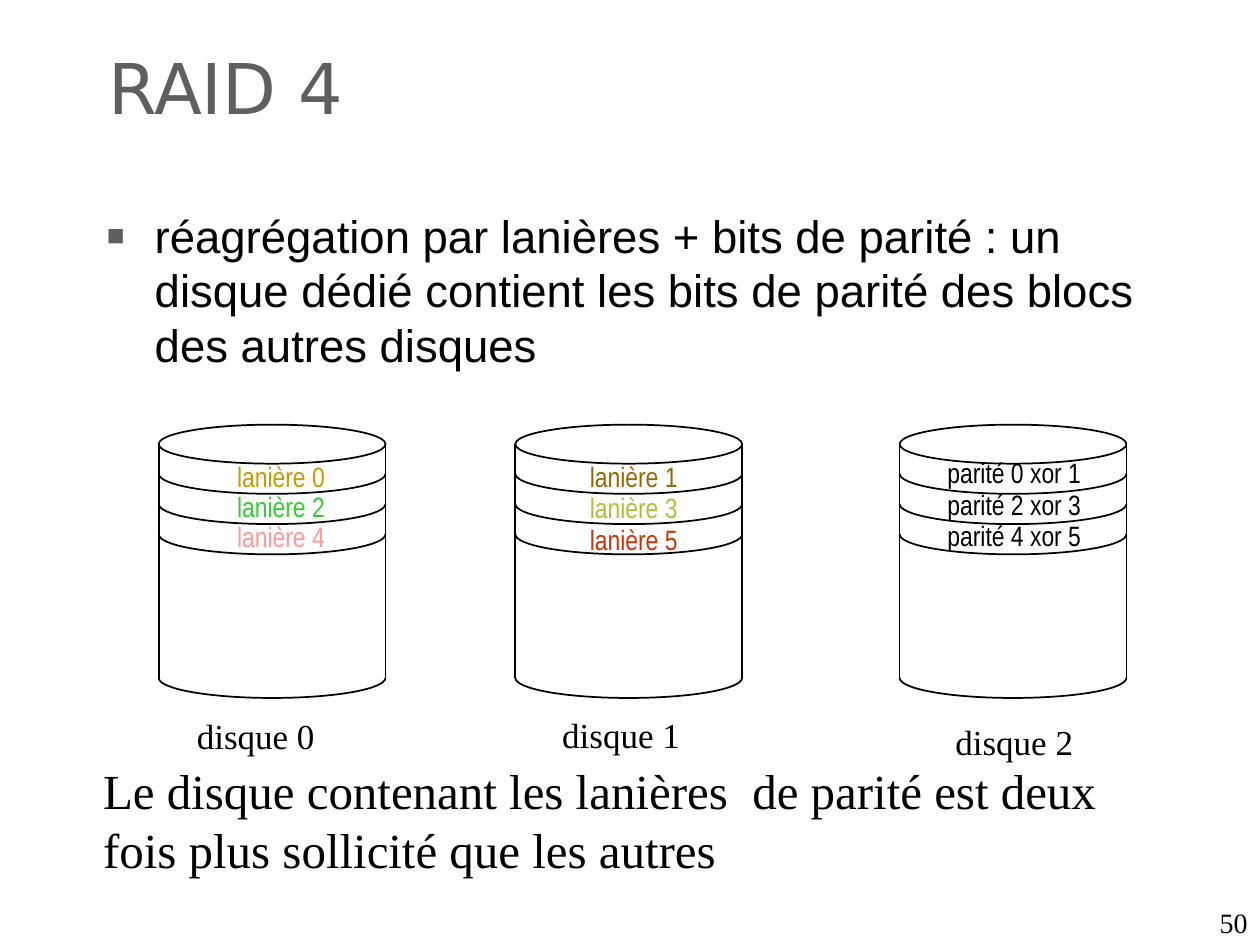
from lxml import etree
from pptx import Presentation
from pptx.dml.color import RGBColor
from pptx.enum.shapes import MSO_CONNECTOR, MSO_SHAPE
from pptx.enum.text import MSO_ANCHOR, MSO_AUTO_SIZE, PP_ALIGN
from pptx.oxml.ns import qn
from pptx.util import Inches, Pt

BLACK = RGBColor(0x00, 0x00, 0x00)
GRAY = RGBColor(0x5F, 0x5F, 0x5F)
GOLD = RGBColor(0xCC, 0x99, 0x00)
GREEN = RGBColor(0x33, 0xCC, 0x33)
PINK = RGBColor(0xFF, 0x99, 0x99)
BROWN = RGBColor(0x99, 0x66, 0x00)
OLIVE = RGBColor(0xAF, 0xBF, 0x39)
RED = RGBColor(0xCC, 0x33, 0x00)

LEFT, CENTER, RIGHT = PP_ALIGN.LEFT, PP_ALIGN.CENTER, PP_ALIGN.RIGHT
TOP, MIDDLE, BOTTOM = MSO_ANCHOR.TOP, MSO_ANCHOR.MIDDLE, MSO_ANCHOR.BOTTOM
NO_AUTOFIT = MSO_AUTO_SIZE.NONE
OVAL = MSO_SHAPE.OVAL
STRAIGHT = MSO_CONNECTOR.STRAIGHT

SERIF = "Times New Roman"
DISK_WIDTH, DISK_HEIGHT = 1.8, 2.17
LID_HEIGHT, ARC_DEPTH = 0.31, 0.16
STRIPE_PITCH = 0.24
HALF_ELLIPSE = [(0, 0), (0, 0.55), (0.22, 1), (0.5, 1), (0.78, 1), (1, 0.55), (1, 0)]

DISKS = [
    ("disque 0", 1.26, (1.1, 5.62), (1.55, 3.63), 0.24,
     [("lanière 0", GOLD), ("lanière 2", GREEN), ("lanière 4", PINK)]),
    ("disque 1", 4.09, (4, 5.61), (4.35, 3.63), 0.25,
     [("lanière 1", BROWN), ("lanière 3", OLIVE), ("lanière 5", RED)]),
    ("disque 2", 7.14, (7.12, 5.67), (7.37, 3.6), 0.25,
     [("parité 0 xor 1", BLACK), ("parité 2 xor 3", BLACK), ("parité 4 xor 5", BLACK)]),
]


def write(frame, text, font, size, color=BLACK, align=LEFT, anchor=TOP, wrap=True):
    """Fill a text frame with one formatted paragraph and return it."""
    frame.text = text
    frame.word_wrap = wrap
    frame.auto_size = NO_AUTOFIT
    frame.vertical_anchor = anchor
    paragraph = frame.paragraphs[0]
    paragraph.alignment = align
    run_font = paragraph.runs[0].font
    run_font.name, run_font.size, run_font.color.rgb = font, Pt(size), color
    return paragraph


def add_text(slide, box, text, font, size, **style):
    """Add a text box at the given place and return its paragraph."""
    textbox = slide.shapes.add_textbox(*map(Inches, box))
    return write(textbox.text_frame, text, font, size, **style)


def place_title(slide, box, text):
    """Move the title placeholder into its box and format it."""
    title = slide.shapes.title
    title.left, title.top, title.width, title.height = map(Inches, box)
    write(title.text_frame, text, "DejaVu Sans", 40, color=GRAY)


def add_bullet(slide, box, text):
    """Add the definition with its square bullet and hanging indent."""
    paragraph = add_text(slide, box, text, "Arial", 26)
    properties = paragraph._p.get_or_add_pPr()
    properties.set("marL", str(Inches(0.38)))
    properties.set("indent", str(Inches(-0.38)))
    bullet_color = etree.SubElement(properties, qn("a:buClr"))
    etree.SubElement(bullet_color, qn("a:srgbClr"), val=str(GRAY))
    etree.SubElement(properties, qn("a:buSzPct"), val="65000")
    etree.SubElement(properties, qn("a:buFont"), typeface="Arial")
    etree.SubElement(properties, qn("a:buChar"), char="■")


def outline(shape):
    """Give a shape a thin black outline and no fill."""
    shape.shadow.inherit = False
    shape.fill.background()
    shape.line.color.rgb = BLACK
    shape.line.width = Pt(1)


def add_arc(slide, left, top, width):
    """Draw the lower half of an ellipse as two Bézier curves."""
    points = [(Inches(left + width * x), Inches(top + ARC_DEPTH * y))
              for x, y in HALF_ELLIPSE]
    builder = slide.shapes.build_freeform(*points[0])
    builder.add_line_segments(points[1:], close=False)
    arc = builder.convert_to_shape()
    segments = list(arc._element.iter(qn("a:lnTo")))
    curve_list = segments[0].getparent()
    for start in range(0, len(segments), 3):
        curve = etree.SubElement(curve_list, qn("a:cubicBezTo"))
        for segment in segments[start:start + 3]:
            curve.append(segment[0])
            curve_list.remove(segment)
    outline(arc)


def add_side(slide, x, top, bottom):
    """Draw one vertical side of a disk."""
    side = slide.shapes.add_connector(
        STRAIGHT, Inches(x), Inches(bottom), Inches(x), Inches(top))
    side.line.color.rgb = BLACK
    side.line.width = Pt(1)
    etree.SubElement(side._element.spPr, qn("a:effectLst"))


def add_disk(slide, box):
    """Draw a disk cylinder with its three stripe edges."""
    left, top, width, height = box
    lid = slide.shapes.add_shape(
        OVAL, Inches(left), Inches(top), Inches(width), Inches(LID_HEIGHT))
    outline(lid)
    base = top + height - ARC_DEPTH
    add_arc(slide, left, base, width)
    for x in (left, left + width):
        add_side(slide, x, top + LID_HEIGHT / 2, base)
    for row in range(3):
        add_arc(slide, left, top + 0.39 + row * STRIPE_PITCH, width)


def add_stripe_labels(slide, corner, pitch, stripes):
    """Label the stripes from the top one down."""
    left, top = corner
    for row, (text, color) in enumerate(stripes):
        add_text(slide, (left, top + row * pitch, 1.36, 0.3), text, "Arial Narrow", 16,
                 color=color, align=CENTER, anchor=MIDDLE, wrap=False)


def main():
    """Build the slide and save it."""
    presentation = Presentation()
    presentation.slide_width, presentation.slide_height = Inches(10), Inches(7.5)
    slide = presentation.slides.add_slide(presentation.slide_layouts[5])
    place_title(slide, (0.76, 0.3, 3.22, 0.86), "RAID 4")
    add_bullet(slide, (0.75, 1.6, 8.5, 1.71),
               "réagrégation par lanières + bits de parité : un disque dédié "
               "contient les bits de parité des blocs des autres disques")
    for name, left, caption_corner, label_corner, pitch, stripes in DISKS:
        add_disk(slide, (left, 3.37, DISK_WIDTH, DISK_HEIGHT))
        add_stripe_labels(slide, label_corner, pitch, stripes)
        add_text(slide, (*caption_corner, 1.86, 0.44), name, SERIF, 20, align=CENTER)
    add_text(slide, (0.72, 5.99, 8.5, 1.71),
             "Le disque contenant les lanières  de parité est deux "
             "fois plus sollicité que les autres", SERIF, 28)
    add_text(slide, (7.67, 7.14, 2.33, 0.36), "50", SERIF, 16, align=RIGHT, anchor=BOTTOM)
    presentation.save("out.pptx")


if __name__ == "__main__":
    main()
